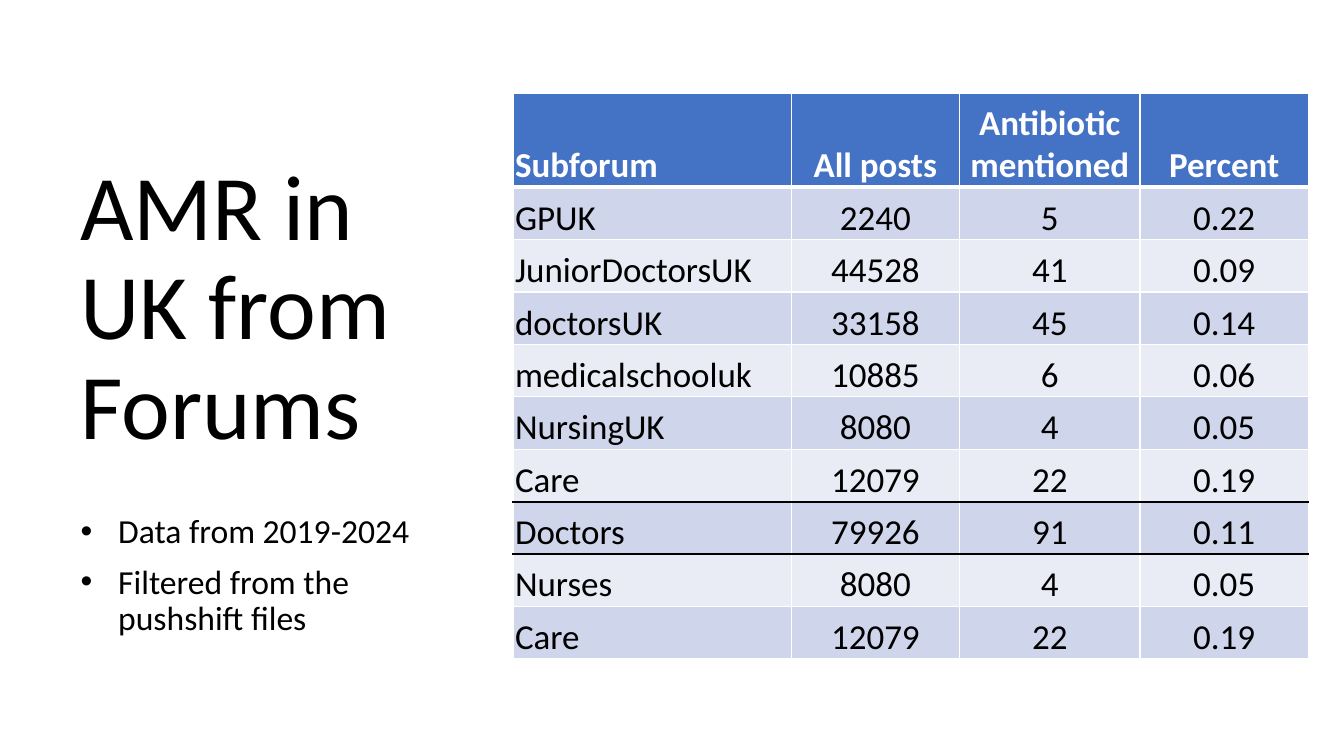
import dataclasses
import typing

import lxml.etree
import pptx
import pptx.dml.color
import pptx.enum.text
import pptx.oxml.ns
import pptx.util

Cm = pptx.util.Cm
Pt = pptx.util.Pt
ALIGN = pptx.enum.text.PP_ALIGN
ANCHOR = pptx.enum.text.MSO_ANCHOR
qn = pptx.oxml.ns.qn

FONT = "Calibri"
BLACK, WHITE = "000000", "FFFFFF"
HEADER_FILL = "4472C4"
BAND_FILLS = ("CFD5EA", "E9EBF5")


@dataclasses.dataclass
class TextBlock:
    left: float
    top: float
    width: float
    height: float
    size: float
    anchor: typing.Any
    lines: tuple[str, ...]
    bulleted: bool = False


@dataclasses.dataclass
class Rule:
    color: str
    points: float


TEXT_BLOCKS = (
    TextBlock(1.78, 1.78, 9.93, 9.93, 66, ANCHOR.BOTTOM, ("AMR in UK from Forums",)),
    TextBlock(1.78, 12.85, 9.93, 4.34, 24, ANCHOR.TOP,
              ("Data from 2019-2024", "Filtered from the pushshift files"), True),
)

COLUMN_WIDTHS = (7.01, 4.24, 4.55, 4.24)
HEADER_HEIGHT, ROW_HEIGHT = 2.36, 1.32
ROWS = (
    ("Subforum", "All posts", "Antibiotic mentioned", "Percent"),
    ("GPUK", "2240", "5", "0.22"),
    ("JuniorDoctorsUK", "44528", "41", "0.09"),
    ("doctorsUK", "33158", "45", "0.14"),
    ("medicalschooluk", "10885", "6", "0.06"),
    ("NursingUK", "8080", "4", "0.05"),
    ("Care", "12079", "22", "0.19"),
    ("Doctors", "79926", "91", "0.11"),
    ("Nurses", "8080", "4", "0.05"),
    ("Care", "12079", "22", "0.19"),
)

# Rules below particular rows; every other rule is thin and white
THIN = Rule(WHITE, 1)
RULES_BELOW = {0: Rule(WHITE, 3), 6: Rule(BLACK, 1.5), 7: Rule(BLACK, 2.25)}


def rgb(color: str) -> pptx.dml.color.RGBColor:
    return pptx.dml.color.RGBColor.from_string(color)


def apply(target: typing.Any, values: dict[str, typing.Any]) -> None:
    for name, value in values.items():
        setattr(target, name, value)


def format_font(paragraph: typing.Any, size: float, color: str, bold: bool = False) -> None:
    apply(paragraph.font, {"name": FONT, "size": Pt(size), "bold": bold})
    paragraph.font.color.rgb = rgb(color)


def add_bullet(paragraph: typing.Any) -> None:
    properties = paragraph._p.get_or_add_pPr()
    properties.set("marL", str(Cm(0.95)))
    properties.set("indent", str(Cm(-0.95)))
    lxml.etree.SubElement(properties, qn("a:buFont")).set("typeface", "Arial")
    lxml.etree.SubElement(properties, qn("a:buChar")).set("char", "•")


def add_text(slide: typing.Any, block: TextBlock) -> None:
    shape = slide.shapes.add_textbox(
        Cm(block.left), Cm(block.top), Cm(block.width), Cm(block.height))
    frame = shape.text_frame
    apply(frame, {"word_wrap": True, "vertical_anchor": block.anchor})
    for index, line in enumerate(block.lines):
        paragraph = frame.add_paragraph() if index else frame.paragraphs[0]
        paragraph.text = line
        paragraph.line_spacing = 0.9
        if index:
            paragraph.space_before = Pt(10)
        if block.bulleted:
            add_bullet(paragraph)
        format_font(paragraph, block.size, BLACK)


def add_borders(cell: typing.Any, above: Rule, below: Rule) -> None:
    properties = cell._tc.get_or_add_tcPr()
    for side, rule in {"L": THIN, "R": THIN, "T": above, "B": below}.items():
        line = lxml.etree.SubElement(properties, qn(f"a:ln{side}"))
        line.set("w", str(Pt(rule.points)))
        fill = lxml.etree.SubElement(line, qn("a:solidFill"))
        lxml.etree.SubElement(fill, qn("a:srgbClr")).set("val", rule.color)


def fill_cell(cell: typing.Any, text: str, row: int, column: int) -> None:
    is_header = row == 0
    add_borders(cell, RULES_BELOW.get(row - 1, THIN), RULES_BELOW.get(row, THIN))
    cell.fill.solid()
    cell.fill.fore_color.rgb = rgb(HEADER_FILL if is_header else BAND_FILLS[(row - 1) % 2])
    apply(cell, {
        "margin_left": Cm(0.05), "margin_right": Cm(0.05),
        "margin_top": Cm(0.05), "margin_bottom": Cm(0),
        "vertical_anchor": ANCHOR.BOTTOM,
    })
    paragraph = cell.text_frame.paragraphs[0]
    paragraph.text = text
    paragraph.alignment = ALIGN.CENTER if column else ALIGN.LEFT
    format_font(paragraph, 25, WHITE if is_header else BLACK, is_header)


def add_post_table(slide: typing.Any) -> None:
    heights = [HEADER_HEIGHT] + [ROW_HEIGHT] * (len(ROWS) - 1)
    table = slide.shapes.add_table(
        len(ROWS), len(COLUMN_WIDTHS), Cm(12.93), Cm(2.36),
        Cm(sum(COLUMN_WIDTHS)), Cm(sum(heights))).table
    for column, width in zip(table.columns, COLUMN_WIDTHS):
        column.width = Cm(width)
    for row, height in zip(table.rows, heights):
        row.height = Cm(height)
    for row, texts in enumerate(ROWS):
        for column, text in enumerate(texts):
            fill_cell(table.cell(row, column), text, row, column)


def main() -> None:
    presentation = pptx.Presentation()
    apply(presentation, {"slide_width": Cm(33.87), "slide_height": Cm(19.05)})
    slide = presentation.slides.add_slide(presentation.slide_layouts[6])

    # Title and notes on the left
    for block in TEXT_BLOCKS:
        add_text(slide, block)

    # Post counts on the right
    add_post_table(slide)
    presentation.save("out.pptx")


if __name__ == "__main__":
    main()
